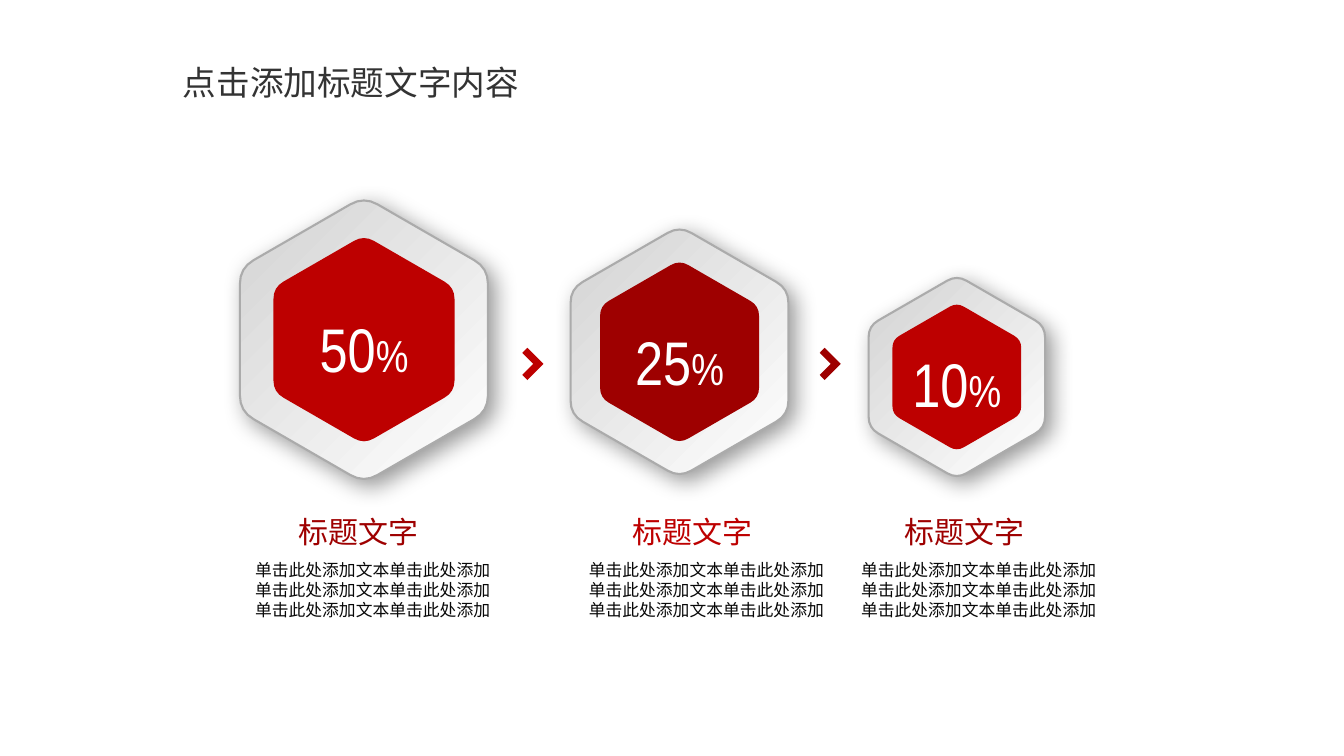
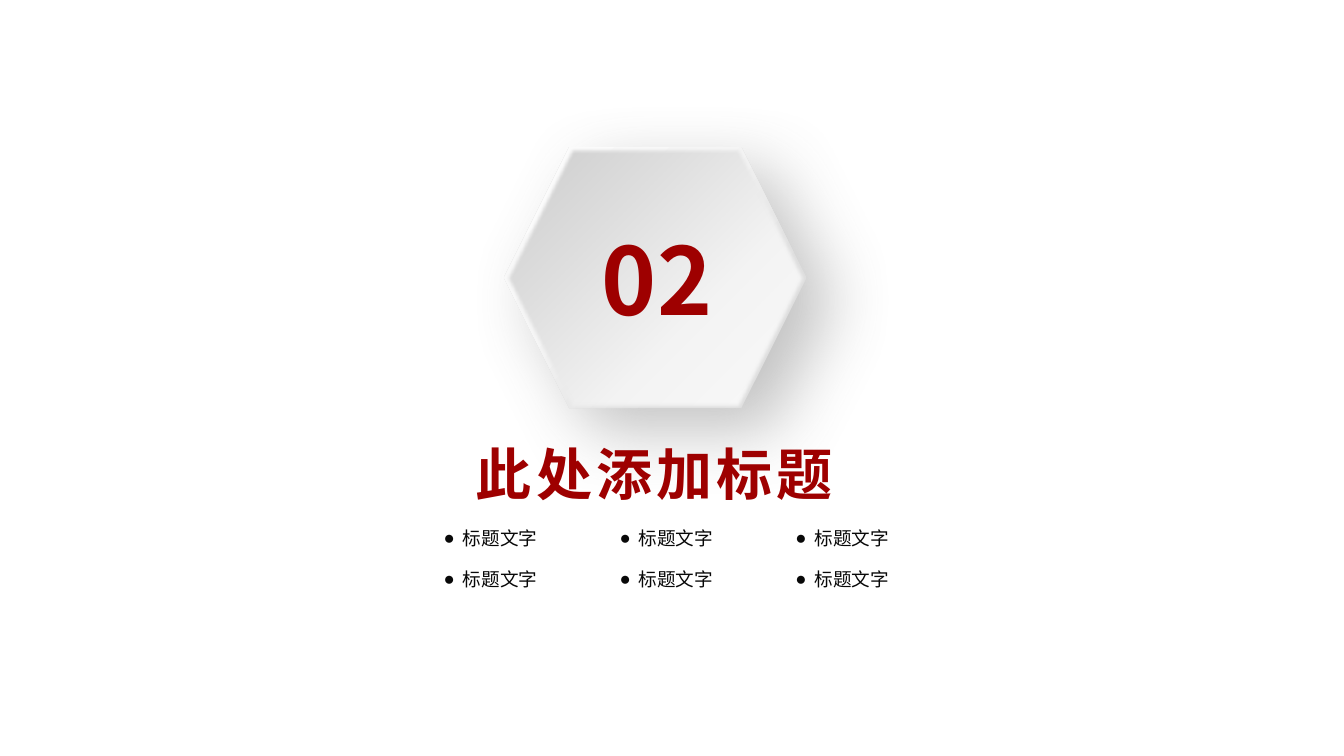
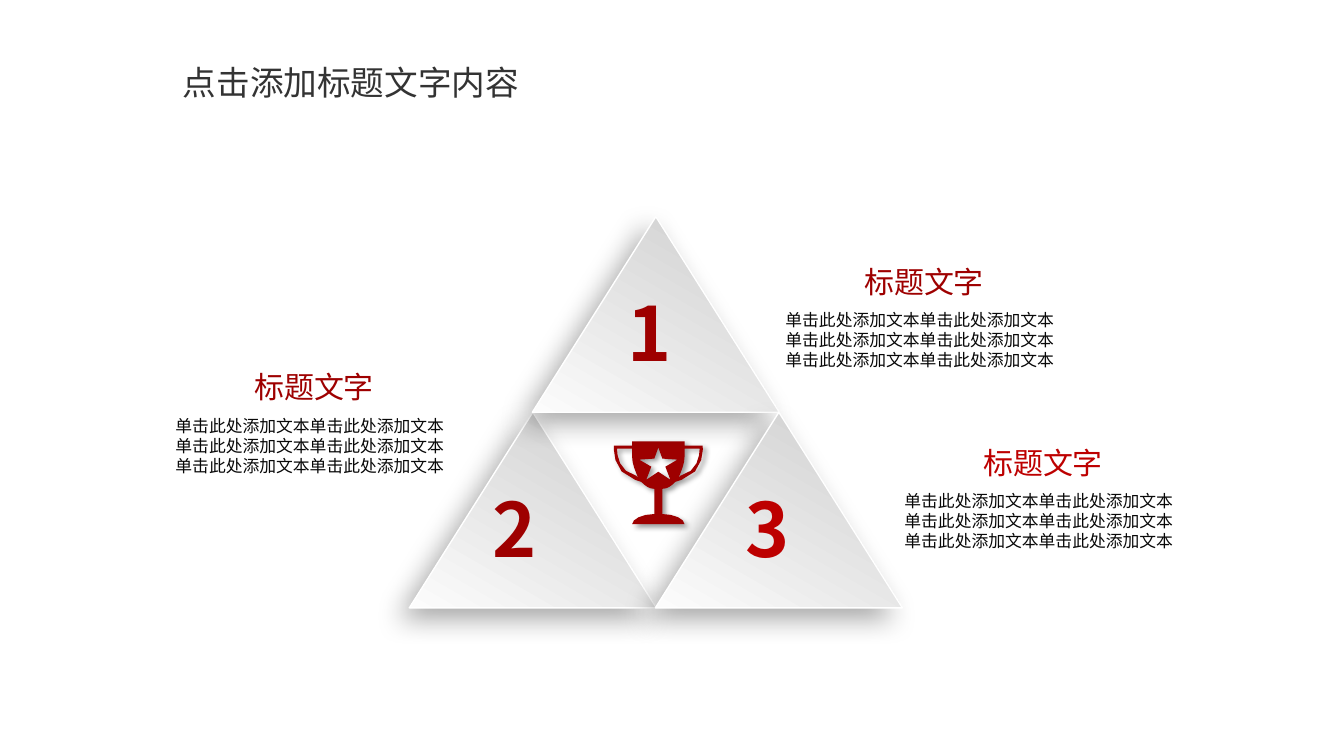
from math import cos, pi, sin, sqrt

from lxml import etree
from pptx import Presentation
from pptx.dml.color import RGBColor
from pptx.enum.shapes import MSO_SHAPE
from pptx.enum.text import MSO_ANCHOR, MSO_AUTO_SIZE, PP_ALIGN
from pptx.oxml.ns import qn
from pptx.util import Emu, Inches, Pt

LEFT, CENTER = PP_ALIGN.LEFT, PP_ALIGN.CENTER
TOP, NO_AUTOFIT = MSO_ANCHOR.TOP, MSO_AUTO_SIZE.NONE
HEXAGON, TRIANGLE = MSO_SHAPE.HEXAGON, MSO_SHAPE.ISOSCELES_TRIANGLE
ROUND_TOP = MSO_SHAPE.ROUND_2_SAME_RECTANGLE

RED = RGBColor(0xBD, 0x00, 0x00)
DARK_RED = RGBColor(0x9E, 0x00, 0x00)
INK = RGBColor(0x08, 0x08, 0x08)
TITLE_GREY = RGBColor(0x33, 0x33, 0x33)
EDGE_GREY = RGBColor(0xAB, 0xAB, 0xAB)
SHADOW_GREY = RGBColor(0x69, 0x69, 0x69)
BLACK = RGBColor(0x00, 0x00, 0x00)
WHITE = RGBColor(0xFF, 0xFF, 0xFF)

SILVER = [(0, "D3D3D3"), (100, "FFFFFF")]
TRIANGLE_SILVER = [(0, "CCCCCC"), (100, "FCFCFC")]
RIM_SILVER = [(1, "DEDEDE"), (30, "E0E0E0"), (61, "F6F6F6"), (100, "FFFFFF")]
FACE_SILVER = [(0, "CBCBCB"), (32, "DEDEDE"), (64, "F3F3F3"), (100, "F9F9F9")]

CJK_FONT, NUMBER_FONT, BULLET_FONT = "Noto Sans CJK SC", "Arial Narrow", "Arial"
LEADING = 1.2
DEFAULT_INSETS = (0.1, 0.05, 0.1, 0.05)
NO_INSETS = (0, 0, 0, 0)
HEADING = "标题文字"
TITLE = "点击添加标题文字内容"


def add_element(parent, tag, **attributes):
    element = etree.SubElement(parent, qn(tag))
    for name, value in attributes.items():
        element.set(name, str(value))
    return element


def write_text(shape, paragraphs, size=12, color=INK, font=CJK_FONT, bold=False,
               align=LEFT, insets=DEFAULT_INSETS, wrap=True, spacing=0, bullet=None):
    """Each paragraph is a string or a list of (text, size) runs."""
    frame = shape.text_frame
    frame.auto_size, frame.word_wrap = NO_AUTOFIT, wrap
    frame.vertical_anchor = TOP
    (frame.margin_left, frame.margin_top,
     frame.margin_right, frame.margin_bottom) = map(Inches, insets)
    for index, content in enumerate(paragraphs):
        paragraph = frame.add_paragraph() if index else frame.paragraphs[0]
        if bullet:
            properties = paragraph._p.get_or_add_pPr()
            properties.set("marL", str(Inches(0.19)))
            properties.set("indent", str(-Inches(0.19)))
            add_element(properties, "a:buFont", typeface=BULLET_FONT)
            add_element(properties, "a:buChar", char=bullet)
        paragraph.alignment = align
        paragraph.line_spacing = Pt(round(size * LEADING, 1))
        runs = [(content, size)] if isinstance(content, str) else content
        for text, run_size in runs:
            run = paragraph.add_run()
            run.text = text
            run.font.name, run.font.size = font, Pt(run_size)
            run.font.bold = bold
            run.font.color.rgb = color
            properties = run.font._element
            add_element(properties, "a:ea", typeface=font)
            if spacing:
                properties.set("spc", str(spacing * 100))


def add_text(slide, box, paragraphs, **text_format):
    shape = slide.shapes.add_textbox(*map(Inches, box))
    write_text(shape, paragraphs, **text_format)


def add_title(slide, box, text, **text_format):
    """Fill the title placeholder and bring it to the front."""
    title = slide.shapes.title
    title.left, title.top, title.width, title.height = map(Inches, box)
    write_text(title, [text], **text_format)
    title.element.getparent().append(title.element)


def add_content_title(slide):
    band = add_preset(slide, ROUND_TOP, (2.85, -1.34, 0.57, 4.35), WHITE)
    band.rotation = 90
    fill = band.element.spPr.find(qn("a:solidFill"))
    add_element(fill[0], "a:alpha", val=68000)
    add_title(slide, (1.02, 0.56, 4.92, 0.53), TITLE, size=24,
              color=TITLE_GREY, align=CENTER)


def style_shape(shape, fill, angle=0, line=None, line_width=1, shadow=None):
    """Fill is a colour or gradient stops; shadow is colour, opacity, blur, distance, angle."""
    properties = shape.element.spPr
    if isinstance(fill, RGBColor):
        shape.fill.solid()
        shape.fill.fore_color.rgb = fill
    else:
        shape.fill.gradient()
        shape.fill.gradient_angle = 360 - angle
        stops = properties.find(qn("a:gradFill")).find(qn("a:gsLst"))
        for stop in list(stops):
            stops.remove(stop)
        for position, color in fill:
            stop = add_element(stops, "a:gs", pos=position * 1000)
            add_element(stop, "a:srgbClr", val=color)
    if line is None:
        shape.line.fill.background()
    else:
        shape.line.color.rgb = line
        shape.line.width = Pt(line_width)
    shape.shadow.inherit = False
    if shadow:
        color, opacity, blur, distance, direction = shadow
        outer = add_element(properties.find(qn("a:effectLst")), "a:outerShdw",
                            blurRad=Pt(blur), dist=Pt(distance),
                            dir=direction * 60000, algn="ctr", rotWithShape=0)
        shade = add_element(outer, "a:srgbClr", val=color)
        add_element(shade, "a:alpha", val=opacity * 1000)


def add_preset(slide, kind, box, fill, **style):
    shape = slide.shapes.add_shape(kind, *map(Inches, box))
    style_shape(shape, fill, **style)
    return shape


def add_outline(slide, left, top, contours, fill, **style):
    """Contours are point lists in inches from (left, top); inner ones are holes."""
    placed = [[(Inches(left + x), Inches(top + y)) for x, y in contour]
              for contour in contours]
    builder = slide.shapes.build_freeform(*placed[0][0])
    for index, contour in enumerate(placed):
        if index:
            builder.move_to(*contour[0])
        builder.add_line_segments(contour[1:], close=True)
    style_shape(builder.convert_to_shape(Emu(0), Emu(0)), fill, **style)


def curve(start, first, second, end, steps=4):
    """Points along a cubic Bezier curve."""
    points = []
    for step in range(steps + 1):
        t = step / steps
        weights = ((1 - t) ** 3, 3 * t * (1 - t) ** 2, 3 * t * t * (1 - t), t ** 3)
        points.append(tuple(sum(weight * point[axis] for weight, point
                                in zip(weights, (start, first, second, end)))
                            for axis in (0, 1)))
    return points


def between(start, end, share):
    return tuple(a + (b - a) * share for a, b in zip(start, end))


def rounded_hexagon(width):
    """Hexagon standing on a corner, around (0, 0)."""
    radius = width / sqrt(3)
    corners = [(radius * sin(k * pi / 3), -radius * cos(k * pi / 3)) for k in range(6)]
    points = []
    for k, corner in enumerate(corners):
        start = between(corner, corners[k - 1], 0.11)
        end = between(corner, corners[(k + 1) % 6], 0.11)
        points += curve(start, between(start, corner, 2 / 3),
                        between(end, corner, 2 / 3), end)
    return points


def mirrored(points):
    return [(-x, y) for x, y in points]


def add_percent_badge(slide, center_x, center_y, width, number_top, number, color):
    add_outline(slide, center_x, center_y, [rounded_hexagon(width)], SILVER,
                angle=45, line=EDGE_GREY, line_width=1.5,
                shadow=(BLACK, 40, 16, 6, 45))
    add_outline(slide, center_x, center_y, [rounded_hexagon(width * 0.73)], color)
    add_text(slide, (center_x - 1.12, number_top, 2.24, 0.84),
             [[(number, 44), ("%", 32)]], size=44, color=WHITE, font=NUMBER_FONT,
             align=CENTER)


def add_chevron(slide, left, top, color):
    points = [(0.21, 0.16), (0.05, 0), (0, 0.05), (0.11, 0.16), (0, 0.27), (0.05, 0.32)]
    add_outline(slide, left, top, [points], color)


def add_caption(slide, left, top, width, heading_offset, body, color):
    """Heading above three equal lines of body text."""
    add_text(slide, (left, top + 0.46, width, 0.66), [body] * 3,
             insets=(0, 0, 0.1, 0.05))
    add_text(slide, (left + heading_offset, top, 1.19, 0.38), [HEADING], size=21.4,
             color=color, align=CENTER, insets=NO_INSETS, wrap=False)


def add_trophy(slide, center_x, top):
    right_side = [
        (0.26, 0), (0.26, 0.04),
        *curve((0.44, 0.04), (0.44, 0.04), (0.47, 0.31), (0.23, 0.38)),
        *curve((0.17, 0.4), (0.13, 0.44), (0.09, 0.47), (0.04, 0.47)),
        *curve((0.04, 0.72), (0.16, 0.72), (0.26, 0.77), (0.26, 0.82)),
    ]
    handle = [
        (0.26, 0.07),
        *curve((0.41, 0.07), (0.41, 0.14), (0.39, 0.3), (0.22, 0.34)),
        *curve((0.2, 0.36), (0.23, 0.29), (0.26, 0.22), (0.26, 0.15)),
    ]
    star_side = [(0, 0.06), (0.04, 0.17), (0.19, 0.18), (0.07, 0.25), (0.12, 0.38), (0, 0.3)]
    cup = right_side + mirrored(right_side)[::-1]
    star = star_side + mirrored(star_side)[-2:0:-1]
    add_outline(slide, center_x, top, [cup, handle, mirrored(handle), star], DARK_RED,
                shadow=(BLACK, 40, 4, 3, 45))


def build_percent_slide(slide):
    badges = [(3.61, 3.37, 2.46, 3.04, "50", RED),
              (6.74, 3.49, 2.16, 3.16, "25", DARK_RED),
              (9.49, 3.74, 1.75, 3.38, "10", RED)]
    for badge in badges:
        add_percent_badge(slide, *badge)
    for left, color in ((5.18, RED), (8.13, DARK_RED)):
        add_chevron(slide, left, 3.45, color)
    for left, color in ((2.53, DARK_RED), (5.84, RED), (8.54, DARK_RED)):
        add_caption(slide, left, 5.09, 2.58, 0.43, "单击此处添加文本单击此处添加", color)
    add_content_title(slide)


def build_section_slide(slide):
    box = (5, 1.46, 3, 2.59)
    add_preset(slide, HEXAGON, box, RIM_SILVER, angle=225,
               shadow=(SHADOW_GREY, 40, 49, 25, 40))
    face = add_preset(slide, HEXAGON, box, FACE_SILVER, angle=45)
    add_element(face.element.spPr.find(qn("a:effectLst")), "a:softEdge", rad=Pt(2.5))
    add_text(slide, (5.97, 2.2, 2.18, 1.19), ["02"], size=66.7, color=DARK_RED,
             bold=True, insets=NO_INSETS)
    add_title(slide, (4.62, 4.31, 3.78, 0.81), "此处添加标题", size=40, color=DARK_RED,
              bold=True, wrap=False, spacing=3)
    for column in range(3):
        for row in range(2):
            add_text(slide, (4.4 + 1.745 * column, 5.23 + 0.4 * row, 2.93, 0.24),
                     [HEADING], size=13.3, insets=NO_INSETS, bullet="●")


def add_numbered_triangle(slide, left, top, number, number_offset, color):
    add_preset(slide, TRIANGLE, (left, top, 2.45, 1.94), TRIANGLE_SILVER, angle=120,
               line=WHITE, shadow=(BLACK, 34, 20, 10, 136))
    add_text(slide, (left + number_offset, top + 0.65, 0.66, 1.05), [number], size=53.4,
             color=color, bold=True, wrap=False)


def build_triangle_slide(slide):
    add_trophy(slide, 6.53, 4.38)
    triangles = [(4.06, 4.09, "2", 0.73, DARK_RED),
                 (5.28, 2.15, "1", 0.85, DARK_RED),
                 (6.5, 4.09, "3", 0.8, RED)]
    for triangle in triangles:
        add_numbered_triangle(slide, *triangle)
    for left, top, color in ((7.79, 2.61, DARK_RED), (8.97, 4.41, RED),
                             (1.74, 3.66, DARK_RED)):
        add_caption(slide, left, top, 2.81, 0.78, "单击此处添加文本单击此处添加文本", color)
    add_content_title(slide)


def main():
    presentation = Presentation()
    presentation.slide_width, presentation.slide_height = Inches(13.33), Inches(7.5)
    title_only = presentation.slide_layouts[5]
    for build in (build_percent_slide, build_section_slide, build_triangle_slide):
        build(presentation.slides.add_slide(title_only))
    presentation.save("out.pptx")


if __name__ == "__main__":
    main()
